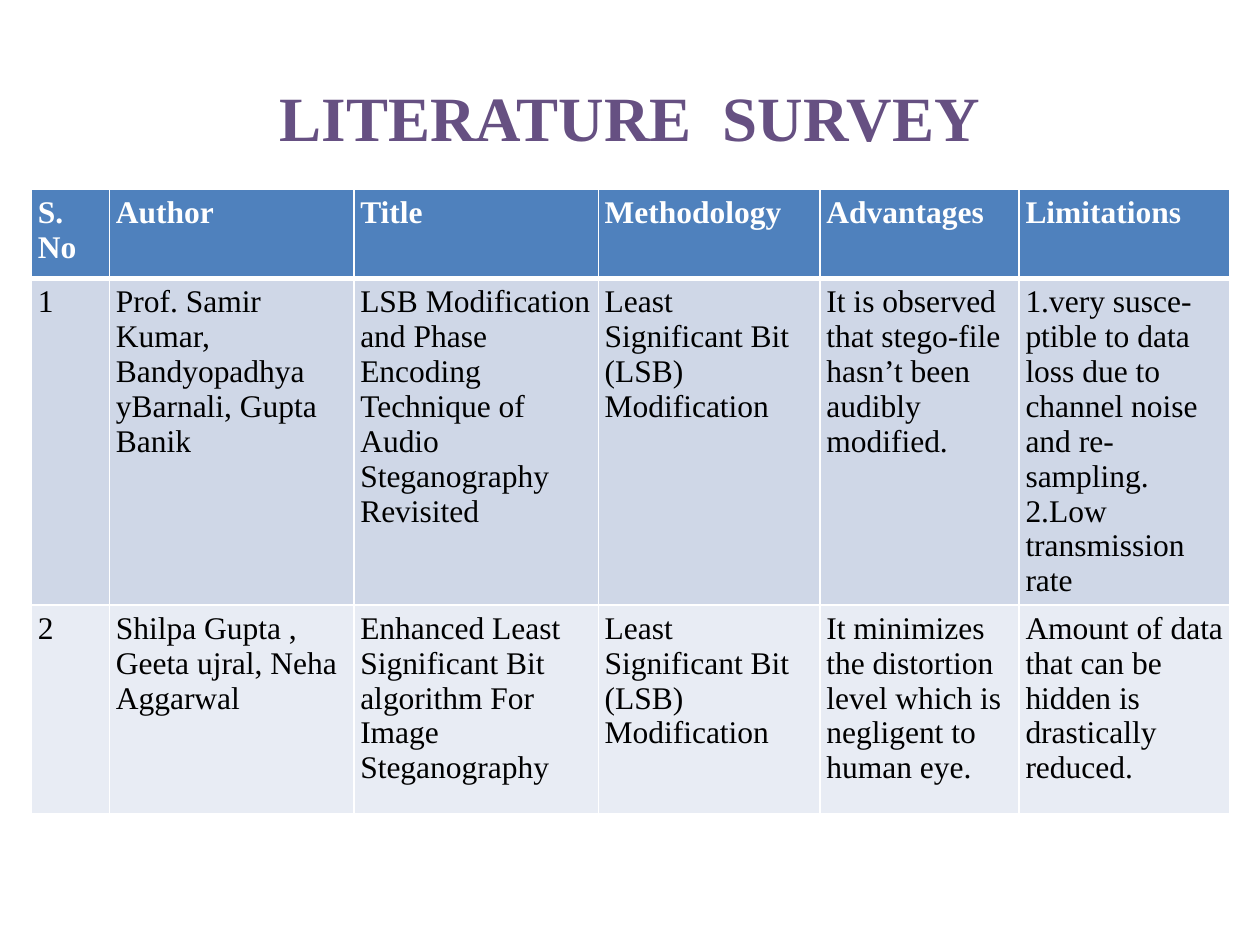
from dataclasses import dataclass

from lxml import etree
from pptx import Presentation, util as u
from pptx.dml.color import RGBColor
from pptx.enum import text
from pptx.oxml.ns import qn

FONT = "Times New Roman"
WHITE = "FFFFFF"
INSET = u.Inches(0.05)
MARGINS = dict.fromkeys(("margin_left", "margin_top", "margin_right", "margin_bottom"), INSET)
COLUMN_SHARES = (0.062, 0.194, 0.194, 0.176, 0.158, 0.167)


@dataclass(frozen=True)
class SurveyRow:
    """One table row: its cell texts, height share and formats."""
    cells: tuple[str, ...]
    height: float
    fill: str
    color: str = "000000"
    bold: bool = False
    top_rule: float = 1
    bottom_rule: float = 1


ROWS = (
    SurveyRow(("S. No", "Author", "Title", "Methodology", "Advantages", "Limitations"),
              0.71 / 7.5, "4F81BD", WHITE, True, bottom_rule=3),
    SurveyRow(("1",
               "Prof. Samir Kumar, Bandyopadhya yBarnali, Gupta Banik",
               "LSB Modification and Phase Encoding Technique of Audio Steganography Revisited",
               "Least Significant Bit (LSB) Modification",
               "It is observed that stego-file hasn’t been audibly modified.",
               "1.very susce-ptible to data loss due to channel noise and re-sampling.\n"
               "2.Low transmission rate"),
              2.55 / 7.5, "CFD7E7", top_rule=3),
    SurveyRow(("2",
               "Shilpa Gupta , Geeta ujral, Neha Aggarwal",
               "Enhanced Least Significant Bit algorithm For Image Steganography",
               "Least Significant Bit (LSB) Modification",
               "It minimizes the distortion level which is negligent to human eye.",
               "Amount of data that can be hidden is drastically reduced."),
              1.66 / 7.5, "E8ECF4"),
)


def rgb(value: str) -> RGBColor:
    """Turn a hex string into a colour."""
    return RGBColor.from_string(value)


def apply_format(target, formats: dict) -> None:
    """Set each named attribute on the target."""
    for name, value in formats.items():
        setattr(target, name, value)


def format_text(frame, size: float, color: str, bold: bool) -> None:
    """Style every paragraph of a text frame."""
    for paragraph in frame.paragraphs:
        apply_format(paragraph.font, {"name": FONT, "size": u.Pt(size), "bold": bold})
        paragraph.font.color.rgb = rgb(color)


def add_borders(cell, row: SurveyRow) -> None:
    """Draw white rules on the four sides of a cell."""
    properties = cell._tc.get_or_add_tcPr()
    widths = {"lnL": 1, "lnR": 1, "lnT": row.top_rule, "lnB": row.bottom_rule}
    for side, width in widths.items():
        line = etree.SubElement(properties, qn(f"a:{side}"), w=str(u.Pt(width)))
        fill = etree.SubElement(line, qn("a:solidFill"))
        etree.SubElement(fill, qn("a:srgbClr"), val=WHITE)


def fill_cell(cell, content: str, row: SurveyRow) -> None:
    """Write and format one table cell."""
    cell.text = content
    apply_format(cell, MARGINS)
    add_borders(cell, row)
    cell.fill.solid()
    cell.fill.fore_color.rgb = rgb(row.fill)
    format_text(cell.text_frame, 18, row.color, row.bold)


def add_title(slide, width: int, height: int) -> None:
    """Place and format the slide title."""
    title = slide.shapes.title
    apply_format(title, {"left": int(width * 0.05), "top": int(height * 0.04),
                         "width": int(width * 0.9), "height": int(height / 6)})
    frame = title.text_frame
    frame.text = "LITERATURE  SURVEY"
    apply_format(frame, MARGINS | {"vertical_anchor": text.MSO_ANCHOR.MIDDLE,
                                   "word_wrap": True})
    frame.paragraphs[0].alignment = text.PP_ALIGN.CENTER
    format_text(frame, 36, "665082", True)


def add_survey(slide, width: int, height: int) -> None:
    """Add the survey table below the title."""
    table_width = int(width * sum(COLUMN_SHARES))
    table_height = int(height * sum(row.height for row in ROWS))
    table = slide.shapes.add_table(len(ROWS), len(COLUMN_SHARES), int(width * 0.025),
                                   int(height * 0.2), table_width, table_height).table
    table.horz_banding = False
    for column, share in zip(table.columns, COLUMN_SHARES):
        column.width = int(width * share)
    for table_row, row in zip(table.rows, ROWS):
        table_row.height = int(height * row.height)
        for cell, content in zip(table_row.cells, row.cells):
            fill_cell(cell, content, row)


def main() -> None:
    """Build and save the literature survey slide."""
    presentation = Presentation()
    width, height = u.Inches(10), u.Inches(7.5)
    apply_format(presentation, {"slide_width": width, "slide_height": height})
    slide = presentation.slides.add_slide(presentation.slide_layouts[5])
    add_title(slide, width, height)
    add_survey(slide, width, height)
    presentation.save("out.pptx")


if __name__ == "__main__":
    main()
